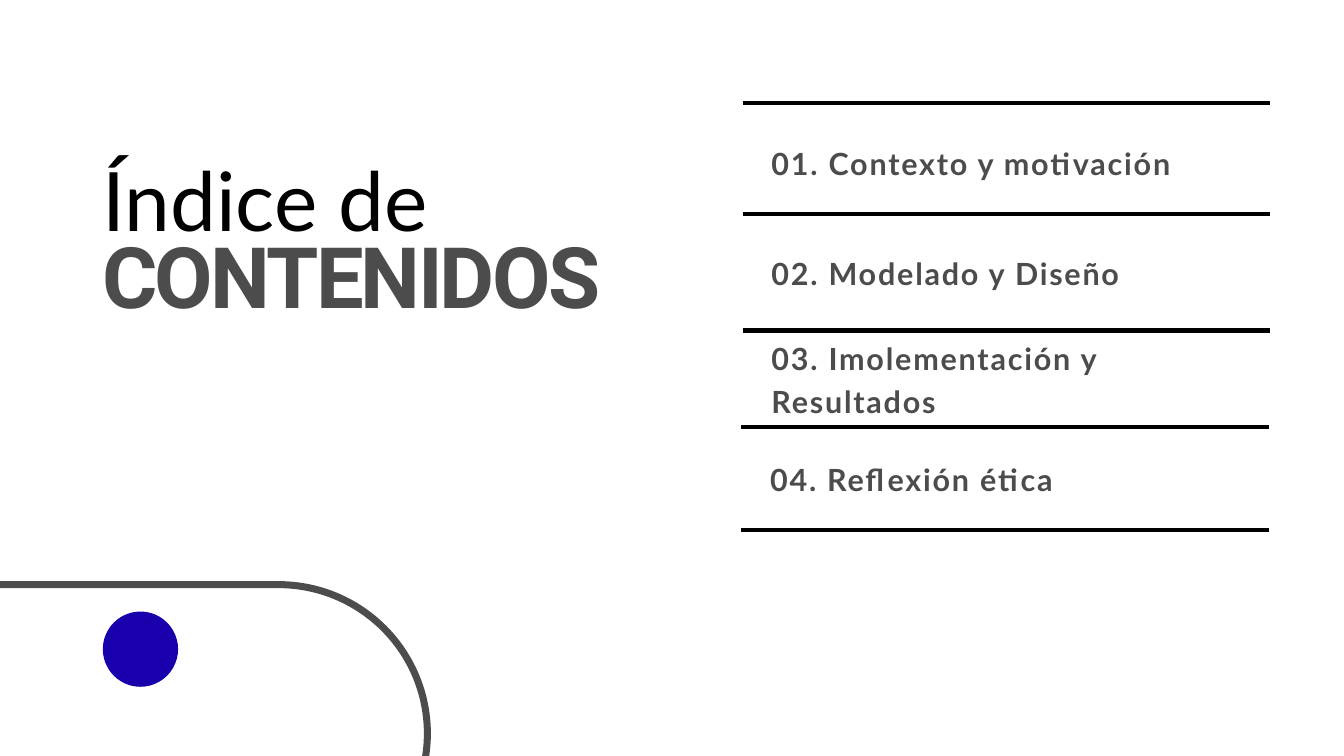
"""Builds the table-of-contents slide."""
from dataclasses import dataclass

import pptx
import pptx.dml.color
import pptx.enum.shapes
import pptx.enum.text
import pptx.oxml
import pptx.oxml.ns
import pptx.util

PX = 9144
SHAPES = pptx.enum.shapes.MSO_SHAPE


def color(value):
    return pptx.dml.color.RGBColor.from_string(value)


@dataclass(frozen=True)
class TextStyle:
    font: str
    size: float
    leading: float
    color: str
    bold: bool = False
    tracking: int = 0


@dataclass(frozen=True)
class Theme:
    black: str = "000000"
    gray: str = "4D4C4C"
    blue: str = "1800AD"
    rule_width: float = 4.5
    outline_width: float = 7.5
    title: TextStyle = TextStyle("Lato", 87.8, 122.9, black)
    heading: TextStyle = TextStyle("Roboto", 90.8, 127.2, gray, True, -300)
    item: TextStyle = TextStyle("Lato", 32.7, 45.8, gray, True, 190)


class SlideBuilder:
    def __init__(self, slide, theme):
        self.slide = slide
        self.theme = theme

    def text(self, content, left, top, width, height, style):
        box = self.slide.shapes.add_textbox(left * PX, top * PX, width * PX, height * PX)
        frame = box.text_frame
        frame.word_wrap = True
        frame.auto_size = pptx.enum.text.MSO_AUTO_SIZE.SHAPE_TO_FIT_TEXT
        frame.margin_left = frame.margin_right = 0
        frame.margin_top = frame.margin_bottom = 0
        frame.text = content
        paragraph = frame.paragraphs[0]
        paragraph.line_spacing = pptx.util.Pt(style.leading)
        run = paragraph.runs[0]
        run.font.name = style.font
        run.font.size = pptx.util.Pt(style.size)
        run.font.bold = style.bold
        run.font.color.rgb = color(style.color)
        if style.tracking:
            run._r.get_or_add_rPr().set("spc", str(style.tracking))

    def rule(self, left, top, width):
        connector = self.slide.shapes.add_connector(
            pptx.enum.shapes.MSO_CONNECTOR.STRAIGHT,
            left * PX, top * PX, (left + width) * PX, top * PX)
        connector.line.color.rgb = color(self.theme.black)
        connector.line.width = pptx.util.Pt(self.theme.rule_width)
        properties = connector._element.spPr
        properties.append(pptx.oxml.parse_xml(
            f'<a:effectLst {pptx.oxml.ns.nsdecls("a")}/>'))

    def pill(self, left, top, width, height):
        shape = self.slide.shapes.add_shape(
            SHAPES.ROUNDED_RECTANGLE, left * PX, top * PX, width * PX, height * PX)
        shape.adjustments[0] = 0.5
        shape.shadow.inherit = False
        shape.fill.background()
        shape.line.color.rgb = color(self.theme.gray)
        shape.line.width = pptx.util.Pt(self.theme.outline_width)

    def dot(self, left, top, diameter):
        shape = self.slide.shapes.add_shape(
            SHAPES.OVAL, left * PX, top * PX, diameter * PX, diameter * PX)
        shape.shadow.inherit = False
        shape.fill.solid()
        shape.fill.fore_color.rgb = color(self.theme.blue)
        shape.line.fill.background()


def main():
    presentation = pptx.Presentation()
    presentation.slide_width = 2000 * PX
    presentation.slide_height = 1125 * PX
    slide = presentation.slides.add_slide(presentation.slide_layouts[6])
    theme = Theme()
    builder = SlideBuilder(slide, theme)

    builder.text("Índice de", 152, 198, 826, 163, theme.title)
    builder.pill(-331, 870, 967, 443)
    builder.text("CONTENIDOS", 152, 308, 934, 170, theme.heading)
    builder.dot(153, 910, 112)

    for left, top in ((1105, 153), (1105, 319), (1105, 492), (1103, 636), (1103, 789)):
        builder.rule(left, top, 785)

    items = (
        ("01. Contexto y motivación", 1148, 207, 63),
        ("02. Modelado y Diseño", 1148, 371, 63),
        ("03. Imolementación y Resultados", 1148, 497, 126),
        ("04. Reflexión ética", 1146, 677, 63),
    )
    for content, left, top, height in items:
        builder.text(content, left, top, 740, height, theme.item)

    presentation.save("out.pptx")


if __name__ == "__main__":
    main()
